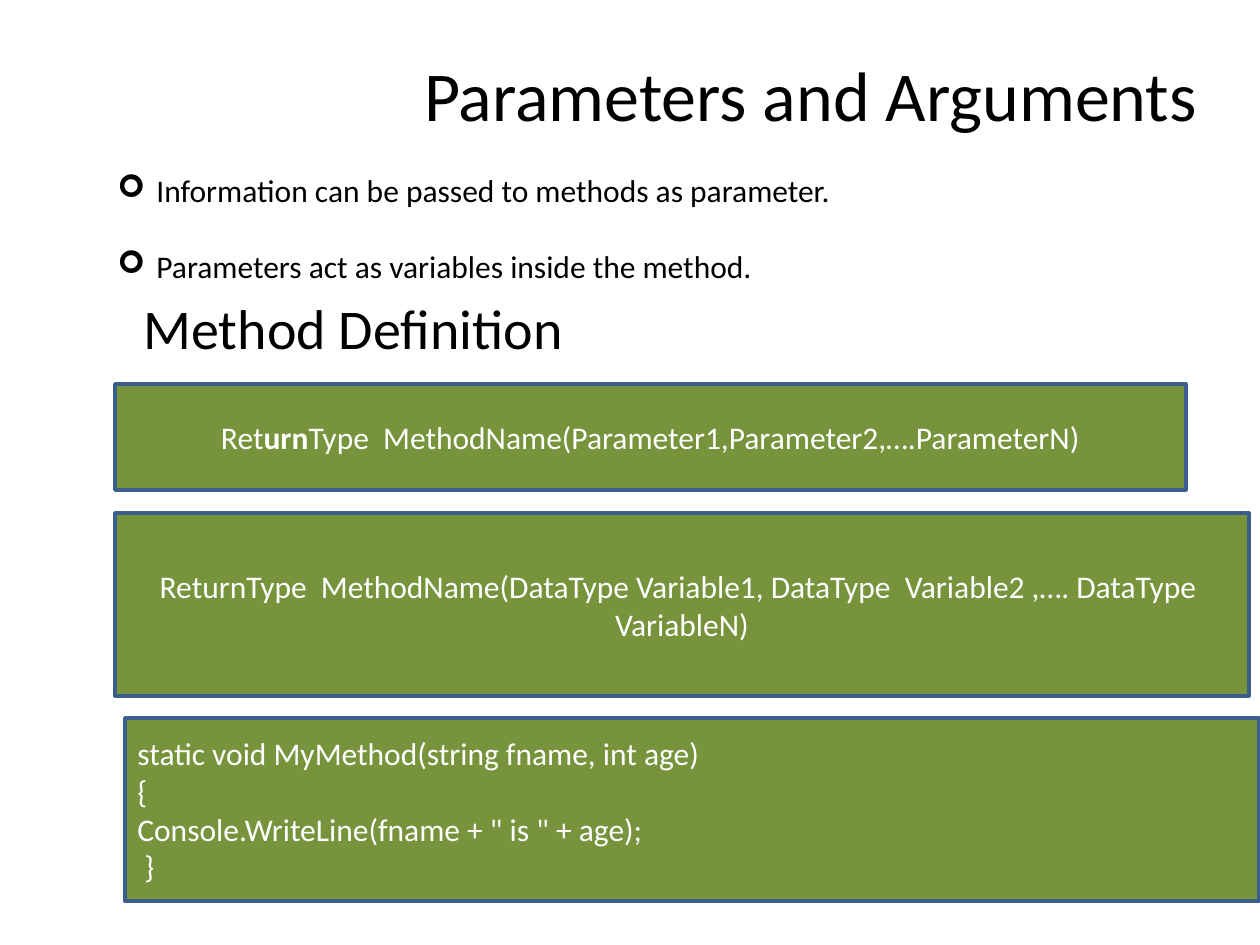
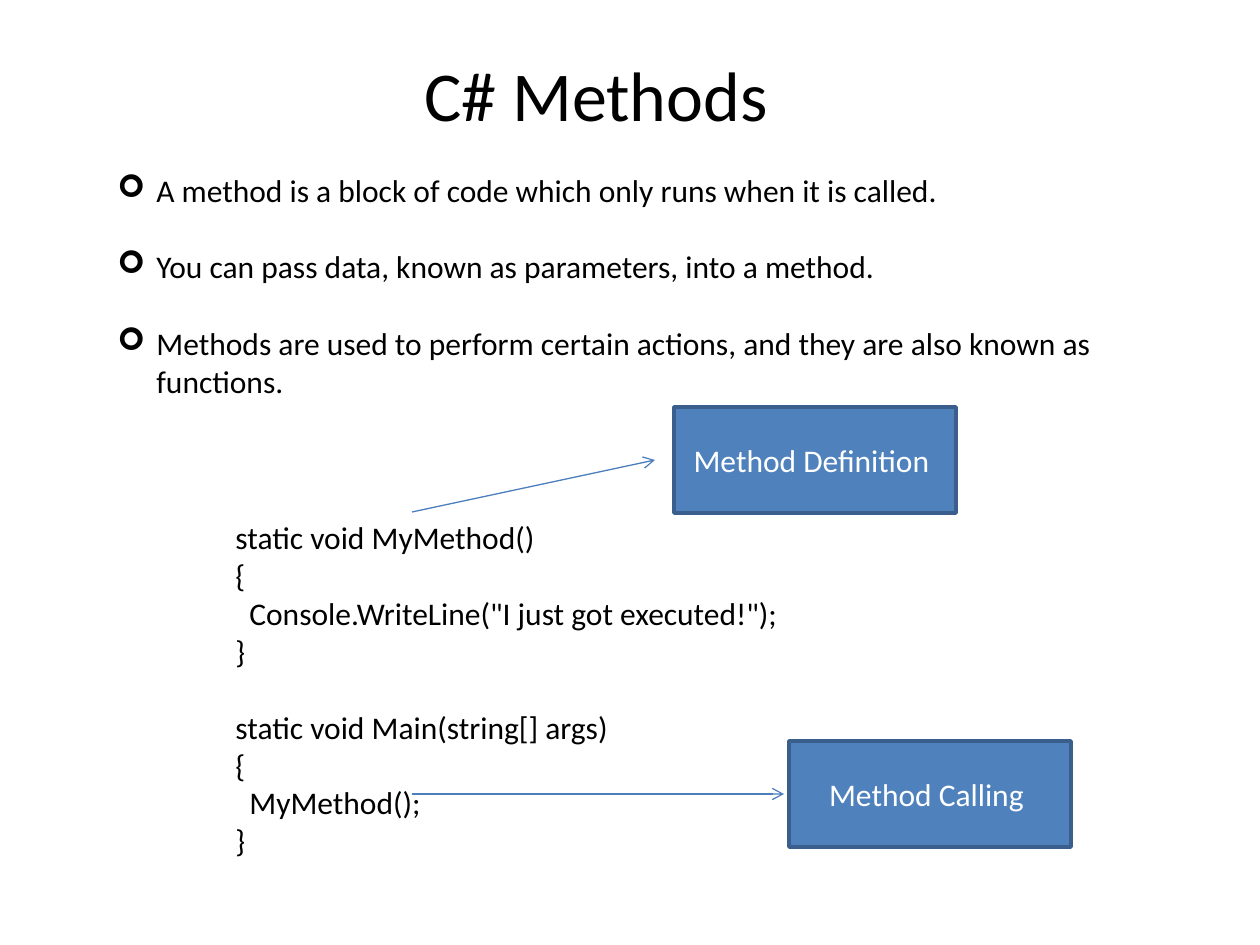
from lxml import etree
from pptx import Presentation
from pptx.dml.color import RGBColor
from pptx.enum.shapes import MSO_CONNECTOR, MSO_SHAPE
from pptx.enum.text import MSO_ANCHOR, MSO_AUTO_SIZE, PP_ALIGN
from pptx.oxml.ns import qn
from pptx.util import Emu, Pt

RECT, STRAIGHT = MSO_SHAPE.RECTANGLE, MSO_CONNECTOR.STRAIGHT
LEFT, CENTER = PP_ALIGN.LEFT, PP_ALIGN.CENTER
MIDDLE, TOP = MSO_ANCHOR.MIDDLE, MSO_ANCHOR.TOP
FIT, NO_FIT = MSO_AUTO_SIZE.SHAPE_TO_FIT_TEXT, MSO_AUTO_SIZE.NONE
rgb = RGBColor.from_string

FONT = "Calibri"
BLACK, WHITE = "000000", "FFFFFF"
GREEN, BLUE, BORDER, ARROW = "77933C", "4F81BD", "3A5F8C", "4B7EBC"
LINE_GAP = Pt(22)   # one empty line of 18 pt text
HANG = 39           # bullet indent
SPACE = 7           # code indent for each leading space


def px(n):
    return Emu(round(n * 914400 / 126))


def add_text(s, box, text, size=18, color=BLACK, fill=None, align=LEFT,
             bullet=None, wrap=True):
    """Add a text box, or a bordered rectangle if fill is given.

    An empty line becomes paragraph spacing; *stars* mark bold."""
    box = [px(n) for n in box]
    if fill:
        sp = s.shapes.add_shape(RECT, *box)
        sp.shadow.inherit = False
        sp.fill.solid()
        sp.fill.fore_color.rgb = rgb(fill)
        sp.line.color.rgb = rgb(BORDER)
        sp.line.width = Pt(2)
    else:
        sp = s.shapes.add_textbox(*box)
    tf = sp.text_frame
    tf.word_wrap = wrap
    tf.auto_size = NO_FIT if fill else FIT
    tf.vertical_anchor = MIDDLE if fill else TOP
    p, gap = None, False
    for line in text.split("\n"):
        if not line:
            gap = True
            continue
        p = tf.add_paragraph() if p else tf.paragraphs[0]
        p.alignment = align
        if gap:
            p.space_before = LINE_GAP
            gap = False
        code = line.lstrip()
        pPr = p._p.get_or_add_pPr()
        if bullet:
            pPr.set("marL", str(px(HANG)))
            pPr.set("indent", str(-px(HANG)))
            etree.SubElement(pPr, qn("a:buFont"), typeface="Wingdings")
            etree.SubElement(pPr, qn("a:buChar"), char=bullet)
        elif code != line:
            pPr.set("marL", str(px(SPACE * (len(line) - len(code)))))
        for i, part in enumerate(code.split("*")):
            r = p.add_run()
            r.text = part
            r.font.name = FONT
            r.font.size = Pt(size)
            r.font.bold = i % 2 == 1
            r.font.color.rgb = rgb(color)


prs = Presentation()
prs.slide_width, prs.slide_height = px(1260), px(945)

# Title and bullets of each slide
topics = [
    ("Parameters and Arguments", 806, 204,
     "Information can be passed to methods as parameter.\n\n"
     "Parameters act as variables inside the method."),
    ("C# Methods", 372, 242,
     "A method is a block of code which only runs when it is called.\n\n"
     "You can pass data, known as parameters, into a method.\n\n"
     "Methods are used to perform certain actions, and they are also known as functions."),
]
slides = []
for title, title_w, bullets_h, bullets in topics:
    s = prs.slides.add_slide(prs.slide_layouts[6])
    add_text(s, (412, 45, title_w, 97), title, size=40, wrap=False)
    add_text(s, (105, 165, 1101, bullets_h), bullets, bullet="➢")
    slides.append(s)
params, methods = slides

# Slide 1: method definition in three green boxes
add_text(params, (131, 287, 450, 81), "Method Definition", size=32, wrap=False)
definitions = [
    ((115, 384, 1071, 106), CENTER,
     "Ret*urn*Type  MethodName(Parameter1,Parameter2,….ParameterN)"),
    ((115, 513, 1134, 183), CENTER,
     "ReturnType  MethodName(DataType Variable1, DataType  Variable2 ,…. "
     "DataType  VariableN)"),
    ((125, 718, 1134, 183), LEFT,
     "static void MyMethod(string fname, int age)\n{\n"
     'Console.WriteLine(fname + " is " + age);\n }'),
]
for box, align, text in definitions:
    add_text(params, box, text, color=WHITE, fill=GREEN, align=align)

# Slide 2: code sample
add_text(methods, (223, 512, 903, 357),
         'static void MyMethod()\n{\n  Console.WriteLine("I just got executed!");\n}\n\n'
         "static void Main(string[] args)\n{\n  MyMethod();\n}")

# Slide 2: labels, each with an arrow from the code
labels = [
    ("Method Definition ", 674, 407, (412, 512, 655, 460)),
    ("Method Calling ", 789, 741, (412, 794, 784, 794)),
]
for text, x, y, ends in labels:
    add_text(methods, (x, y, 282, 106), text, color=WHITE, fill=BLUE, align=CENTER)
    c = methods.shapes.add_connector(STRAIGHT, *[px(n) for n in ends])
    c.line.color.rgb = rgb(ARROW)
    c.line.width = Pt(0.75)
    etree.SubElement(c.line._get_or_add_ln(), qn("a:tailEnd"), type="arrow")
    etree.SubElement(c._element.spPr, qn("a:effectLst"))

prs.save("out.pptx")
